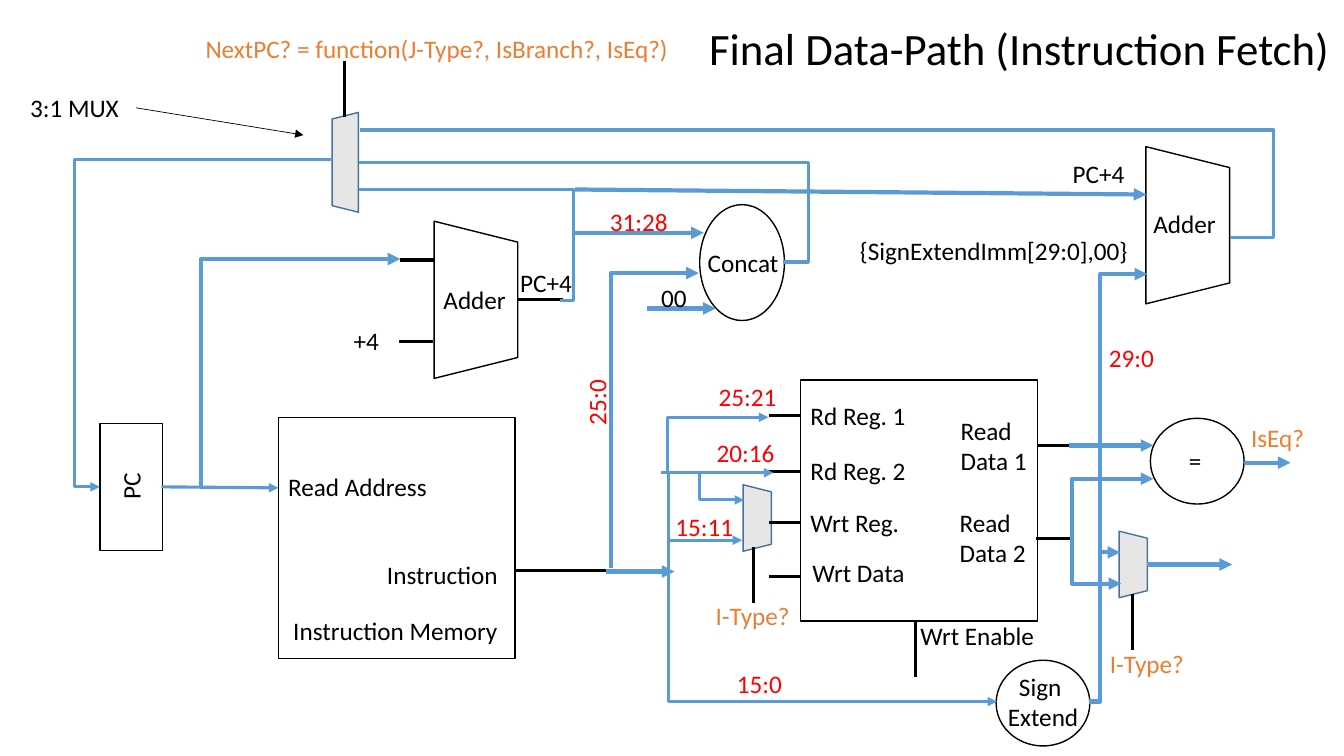
import pptx
import pptx.dml.color
import pptx.enum.shapes
import pptx.enum.text
import pptx.oxml
import pptx.oxml.ns
import pptx.util

BLACK, BLUE, RED, ORANGE = "000000", "5B9BD5", "FF0000", "ED7D31"
MUX_FILL, MUX_EDGE = "E7E6E6", "43739E"
SHAPES = pptx.enum.shapes.MSO_SHAPE
CONNECTORS = pptx.enum.shapes.MSO_CONNECTOR
ALIGN = pptx.enum.text.PP_ALIGN


def px(length):
    """Turn px (100 to the inch) into EMU."""
    return pptx.util.Emu(length * 9144)


def rgb(color):
    return pptx.dml.color.RGBColor.from_string(color)


def add_child(parent, tag, **attributes):
    child = pptx.oxml.parse_xml(f"<a:{tag} {pptx.oxml.ns.nsdecls('a')}/>")
    for name, value in attributes.items():
        child.set(name, value)
    parent.append(child)


class Diagram:
    font = "Calibri"
    text_size = 18

    def __init__(self, slide):
        self.shapes = slide.shapes

    def block(self, kind, frame, turn=0, fill=None, edge=BLACK):
        """Outline shape; frame is its place before the turn in degrees."""
        block = self.shapes.add_shape(kind, *map(px, frame))
        block.rotation = turn
        block.shadow.inherit = False
        if fill:
            block.fill.solid()
            block.fill.fore_color.rgb = rgb(fill)
        else:
            block.fill.background()
        block.line.color.rgb = rgb(edge)
        block.line.width = pptx.util.Pt(1)

    def wire(self, start, end, color=BLUE, weight=2.25, arrow=True, via=None):
        """Straight line, or an elbow whose vertical part stands at x = via."""
        kind = CONNECTORS.STRAIGHT if via is None else CONNECTORS.ELBOW
        wire = self.shapes.add_connector(kind, *map(px, start + end))
        wire.line.color.rgb = rgb(color)
        wire.line.width = pptx.util.Pt(weight)
        properties = wire._element.spPr
        if via is not None:
            bend = round((via - start[0]) / (end[0] - start[0]) * 100000)
            geometry = properties.find(pptx.oxml.ns.qn("a:prstGeom"))
            add_child(geometry.find(pptx.oxml.ns.qn("a:avLst")), "gd",
                      name="adj1", fmla=f"val {bend}")
        if arrow:
            add_child(wire.line._get_or_add_ln(), "tailEnd", type="triangle")
        add_child(properties, "effectLst")

    def label(self, text, left, top, width, color=BLACK, turn=0,
              align=ALIGN.LEFT, size=text_size, wrap=False):
        lines = text.split("\n")
        height = 10 + round(size * 5 / 3) * len(lines)
        box = self.shapes.add_textbox(*map(px, (left, top, width, height)))
        box.rotation = turn
        frame = box.text_frame
        frame.word_wrap = wrap
        frame.auto_size = pptx.enum.text.MSO_AUTO_SIZE.SHAPE_TO_FIT_TEXT
        for index, line in enumerate(lines):
            paragraph = frame.add_paragraph() if index else frame.paragraphs[0]
            paragraph.alignment = align
            run = paragraph.add_run()
            run.text = line
            run.font.name = self.font
            run.font.size = pptx.util.Pt(size)
            run.font.color.rgb = rgb(color)


def draw_blocks(diagram):
    register_file, instruction_memory = (794, 377, 235, 239), (276, 414, 235, 239)
    pc_register = (99, 420, 62, 126)
    for frame in (register_file, instruction_memory, pc_register):
        diagram.block(SHAPES.RECTANGLE, frame)
    sign_extend, concat, equals = (988, 655, 93, 85), (694, 203, 84, 115), (1141, 415, 93, 85)
    for frame in (sign_extend, concat, equals):
        diagram.block(SHAPES.OVAL, frame)
    for left, top in ((394, 256), (1100, 182)):
        diagram.block(SHAPES.TRAPEZOID, (left, top, 156, 83), 90)
    write_mux, operand_mux, next_pc_mux = (718, 500, 66, 28), (1091, 546, 66, 28), (293, 148, 99, 26)
    for frame, turn in ((write_mux, 90), (operand_mux, 90), (next_pc_mux, 270)):
        diagram.block(SHAPES.TRAPEZOID, frame, turn, MUX_FILL, MUX_EDGE)


def draw_wires(diagram):
    for y in (412, 468, 518, 572):  # register file inputs
        diagram.wire((763, y), (794, y), BLACK, arrow=False)

    stubs = [
        ((1029, 442), (1060, 442)), ((1028, 534), (1064, 534)),
        ((908, 615), (908, 672)), ((747, 598), (747, 543)),
        ((1123, 589), (1123, 645)), ((512, 566), (610, 566)),
        ((513, 297), (558, 297)), ((397, 258), (430, 258)),
        ((396, 339), (429, 339)), ((342, 116), (342, 61)),
    ]
    for start, end in stubs:
        diagram.wire(start, end, BLACK, arrow=False)

    thin_arrows = [
        ((663, 467), (762, 414), 662), ((656, 469), (767, 469), None),
        ((661, 468), (736, 536), 663), ((663, 468), (989, 696), 663),
        ((695, 470), (738, 496), 694), ((160, 483), (276, 484), None),
        ((328, 158), (99, 483), 74),
    ]
    for start, end, via in thin_arrows:
        diagram.wire(start, end, via=via)

    thick_arrows = [
        ((1060, 442), (1144, 442), None), ((1080, 696), (1111, 548), 1091),
        ((1061, 534), (1112, 579), 1063), ((1138, 560), (1222, 560), None),
        ((199, 483), (397, 257), 199), ((570, 231), (698, 231), None),
        ((606, 564), (693, 271), 606), ((642, 306), (710, 306), None),
        ((601, 567), (669, 567), None), ((570, 188), (1137, 193), None),
        ((1091, 550), (1138, 272), 1091), ((1062, 533), (1144, 475), 1063),
        ((1234, 459), (1280, 459), None),
    ]
    for start, end, via in thick_arrows:
        diagram.wire(start, end, weight=3, via=via)

    mux_inputs = [
        ((556, 298), (356, 188), 569), ((777, 260), (356, 161), 802),
        ((1220, 236), (357, 129), 1263),
    ]
    for start, end, via in mux_inputs:
        diagram.wire(start, end, arrow=False, via=via)

    diagram.wire((135, 107), (301, 134), BLACK, 0.5)


def draw_labels(diagram):
    names = [
        ("Rd Reg. 1", 794, 392, 116), ("Rd Reg. 2", 794, 447, 116),
        ("Wrt Reg.", 794, 498, 109), ("Wrt Data", 796, 548, 113),
        ("Read\nData 1", 943, 407, 86), ("Read\nData 2", 942, 498, 86),
        ("Wrt Enable", 903, 610, 134), ("Read Address", 276, 463, 159),
        ("Instruction", 374, 550, 137), ("Instruction Memory", 281, 606, 225),
        ("Adder", 430, 277, 83), ("Adder", 1134, 202, 83),
        ("+4", 341, 318, 46), ("Concat", 692, 240, 91),
        ("PC+4", 506, 260, 72), ("PC+4", 1054, 152, 72),
        ("00", 646, 275, 46), ("3:1 MUX", 20, 87, 115),
        ("{SignExtendImm[29:0],00}", 843, 229, 288),
    ]
    bit_fields = [
        ("25:21", 703, 373, 78), ("20:16", 701, 429, 78), ("15:11", 660, 502, 78),
        ("15:0", 721, 658, 65), ("31:28", 595, 200, 78), ("29:0", 1090, 335, 65),
    ]
    controls = [
        ("I-Type?", 700, 591, 94), ("I-Type?", 1091, 638, 94),
        ("IsEq?", 1231, 414, 73),
        ("NextPC? = function(J-Type?, IsBranch?, IsEq?)", 194, 28, 484),
    ]
    for color, labels in ((BLACK, names), (RED, bit_fields), (ORANGE, controls)):
        for text, left, top, width in labels:
            diagram.label(text, left, top, width, color)
    diagram.label("PC", 106, 462, 47, turn=270)
    diagram.label("25:0", 559, 379, 65, RED, turn=270)
    diagram.label("Sign \nExtend", 989, 661, 91, align=ALIGN.CENTER)
    diagram.label("=", 1169, 437, 33, align=ALIGN.CENTER)
    diagram.label("Final Data-Path (Instruction Fetch)", 579, 16, 864,
                  align=ALIGN.CENTER, size=32, wrap=True)


def main():
    presentation = pptx.Presentation()
    presentation.slide_width, presentation.slide_height = px(1333), px(750)
    diagram = Diagram(presentation.slides.add_slide(presentation.slide_layouts[6]))
    draw_blocks(diagram)
    draw_wires(diagram)
    draw_labels(diagram)
    presentation.save("out.pptx")


if __name__ == "__main__":
    main()
